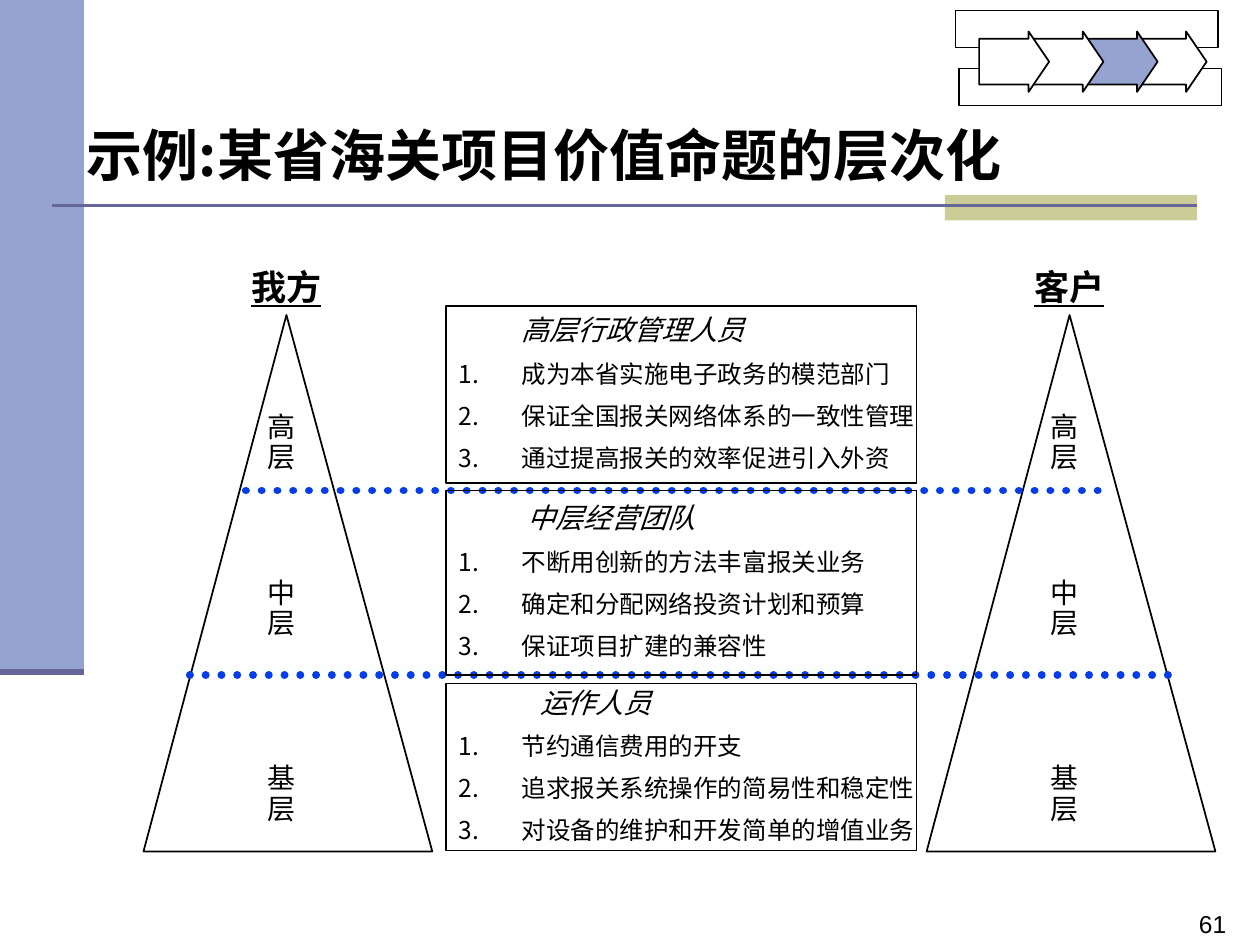
import pptx
import pptx.util
import pptx.dml.color
import pptx.enum.dml
import pptx.enum.shapes
import pptx.enum.text
from lxml import etree
from pptx.oxml.ns import qn

Pt = pptx.util.Pt
SHAPE = pptx.enum.shapes.MSO_SHAPE
ALIGN = pptx.enum.text.PP_ALIGN
ANCHOR = pptx.enum.text.MSO_ANCHOR
CJK = "Noto Sans CJK SC"
COLORS = {"black": "000000", "white": "FFFFFF", "blue": "95A3D1",
          "sand": "CCCC99", "rule": "666699", "dots": "063DE8"}
LEVELS = [
    (175, 101, 36, "高层行政管理人员",
     ["成为本省实施电子政务的模范部门", "保证全国报关网络体系的一致性管理",
      "通过提高报关的效率促进引入外资"]),
    (280.3, 105.3, 39.5, "中层经营团队",
     ["不断用创新的方法丰富报关业务", "确定和分配网络投资计划和预算",
      "保证项目扩建的兼容性"]),
    (390.5, 95.5, 46.5, "运作人员",
     ["节约通信费用的开支", "追求报关系统操作的简易性和稳定性",
      "对设备的维护和开发简单的增值业务"]),
]
RANKS = [("高层", 57.5), ("中层", 152.5), ("基层", 258.5)]


def color(name):
    return pptx.dml.color.RGBColor.from_string(COLORS[name])


def add_shape(slide, kind, box, fill=None, line=None, width=1):
    shape = slide.shapes.add_shape(kind, *map(Pt, box))
    shape.shadow.inherit = False
    if fill:
        shape.fill.solid()
        shape.fill.fore_color.rgb = color(fill)
    else:
        shape.fill.background()
    if line:
        shape.line.color.rgb = color(line)
        shape.line.width = Pt(width)
    else:
        shape.line.fill.background()
    return shape


def add_line(slide, start, end, name, width, dots=False):
    line = slide.shapes.add_connector(
        pptx.enum.shapes.MSO_CONNECTOR.STRAIGHT, *map(Pt, start + end))
    line.line.color.rgb = color(name)
    line.line.width = Pt(width)
    if dots:
        line.line.dash_style = pptx.enum.dml.MSO_LINE.ROUND_DOT
        line.line._get_or_add_ln().set("cap", "rnd")
    etree.SubElement(line._element.spPr, qn("a:effectLst"))


def style(para, size, face=CJK, bold=False, italic=False, under=False):
    font = para.font
    font.size, font.name = Pt(size), face
    font.bold, font.italic, font.underline = bold, italic, under
    font.color.rgb = color("black")


def add_text(slide, box, text, size, face=CJK, spacing=1.0,
             align=ALIGN.LEFT, **look):
    frame = slide.shapes.add_textbox(*map(Pt, box)).text_frame
    frame.word_wrap = True
    para = frame.paragraphs[0]
    para.text = text
    para.alignment = align
    para.line_spacing = spacing
    style(para, size, face, **look)


def indent(para, left, first=0, number=False):
    props = para._p.get_or_add_pPr()
    props.set("marL", str(Pt(left)))
    props.set("indent", str(Pt(first)))
    if number:
        etree.SubElement(props, qn("a:buFont"), typeface=CJK)
        etree.SubElement(props, qn("a:buAutoNum"), type="arabicPeriod")


def frame_page(slide):
    add_shape(slide, SHAPE.RECTANGLE, (0, 0, 48, 384), "blue")
    add_shape(slide, SHAPE.RECTANGLE, (540, 111.5, 144, 14.5), "sand")
    add_line(slide, (30, 117.5), (684, 117.5), "rule", 1.5)
    add_line(slide, (0, 384), (48, 384), "rule", 3.5)
    add_text(slide, (678, 516, 60, 24.5), "61", 14, "Arial")
    add_text(slide, (42.5, 65.5, 641, 46), "示例:某省海关项目价值命题的层次化",
             32, bold=True)


def add_side(slide, box, title):
    """Pyramid with its heading and the three ranks."""
    x, y, w, h = box
    cone = add_shape(slide, SHAPE.ISOSCELES_TRIANGLE, box, line="black")
    cone.adjustments[0] = 0.495
    add_text(slide, (x + w / 2 - 41, y - 29, 80, 29), title, 20,
             spacing=0.9, align=ALIGN.CENTER, bold=True, under=True)
    for rank, top in RANKS:
        add_text(slide, (x + 63.5, y + top - 5, 42.5, 42), rank, 16,
                 "Arial", 0.9)


def add_level(slide, box, left, title, goals):
    shape = add_shape(slide, SHAPE.RECTANGLE, box, line="black")
    frame = shape.text_frame
    frame.word_wrap = True
    frame.margin_right = 0
    frame.vertical_anchor = ANCHOR.MIDDLE
    for i, text in enumerate([title] + goals):
        para = frame.add_paragraph() if i else frame.paragraphs[0]
        para.text = text
        para.alignment = ALIGN.LEFT
        para.line_spacing = 0.9
        if i:
            para.space_before = Pt(8.8)
            indent(para, 36, -36, True)
        else:
            indent(para, left)
        style(para, 14 if i else 16, italic=not i)


def add_steps(slide, x, y):
    """Four chained arrows over two plates, the third one marked."""
    add_shape(slide, SHAPE.RECTANGLE, (x, y, 150, 21), "white", "black", 0.75)
    add_shape(slide, SHAPE.RECTANGLE, (x + 2, y + 33, 150, 21.5),
              "white", "black", 0.75)
    for i, left in reversed(list(enumerate((13.5, 44.5, 75.5, 103.5)))):
        arrow = add_shape(slide, SHAPE.RIGHT_ARROW,
                          (x + left, y + 12, 40, 34.5),
                          "blue" if i == 2 else "white", "black")
        arrow.adjustments[0] = 0.76
        arrow.adjustments[1] = 0.34


def main():
    deck = pptx.Presentation()
    deck.slide_width, deck.slide_height = Pt(720), Pt(540)
    slide = deck.slides.add_slide(deck.slide_layouts[6])
    frame_page(slide)
    for x, title in ((82, "我方"), (529.5, "客户")):
        add_side(slide, (x, 180, 165, 306.5), title)
    add_line(slide, (140.5, 280.3), (635.5, 280.3), "dots", 4.5, True)
    add_line(slide, (108.5, 385.7), (668, 385.7), "dots", 4.5, True)
    for top, high, left, title, goals in LEVELS:
        add_level(slide, (255, top, 268.8, high), left, title, goals)
    add_steps(slide, 546, 6)
    deck.save("out.pptx")


if __name__ == "__main__":
    main()
